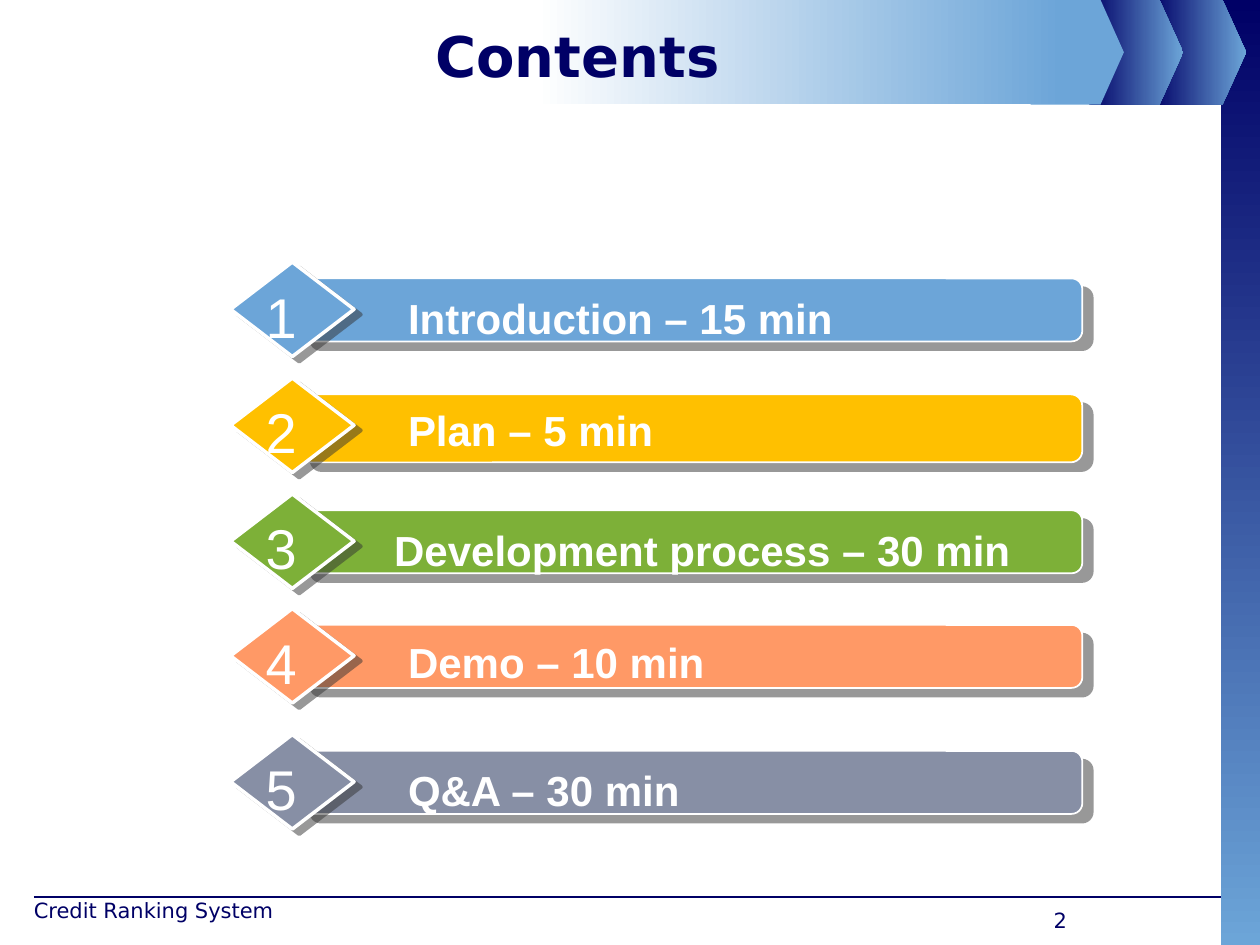
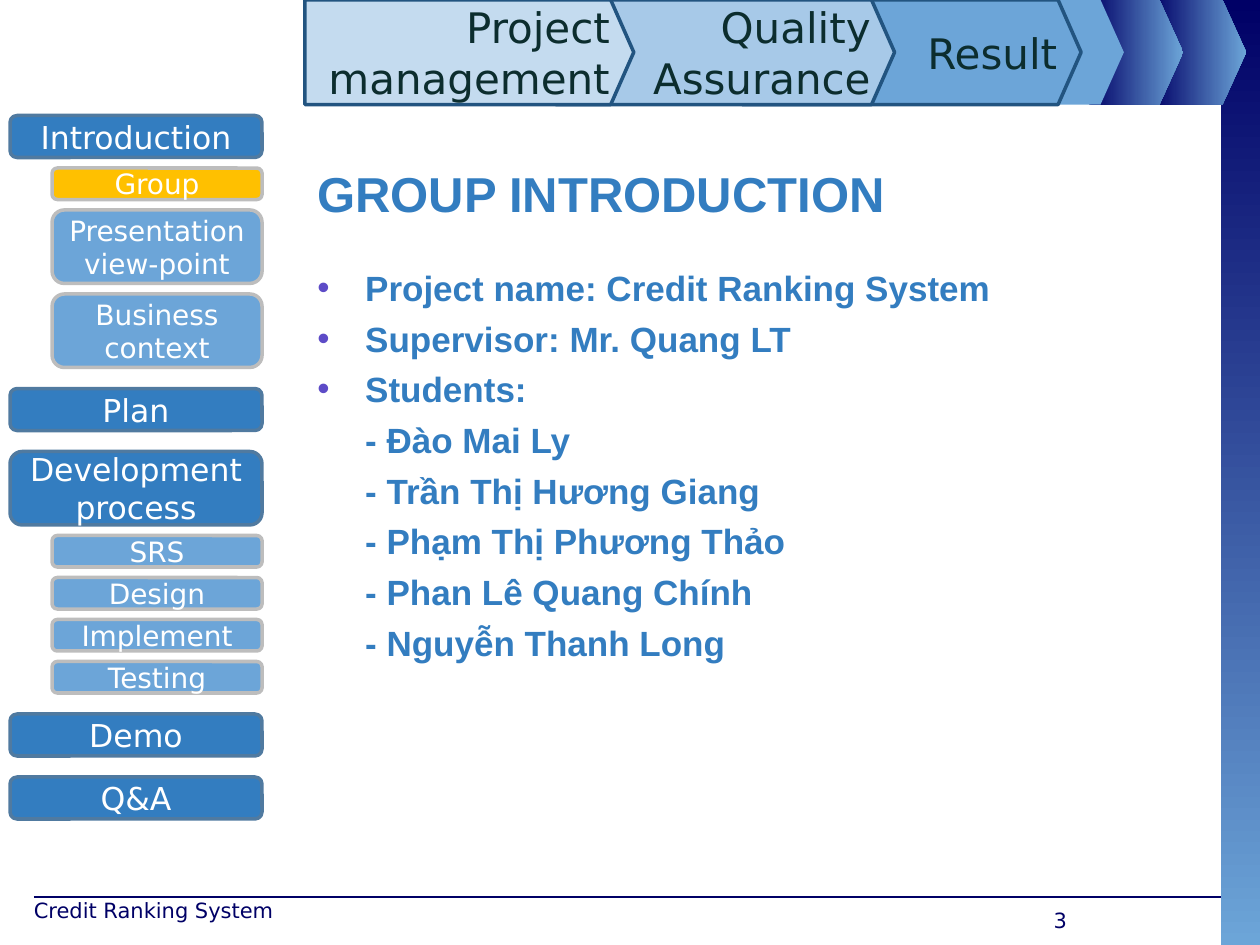
from lxml import etree
from pptx import Presentation
from pptx.dml.color import RGBColor
from pptx.enum.shapes import MSO_CONNECTOR, MSO_SHAPE
from pptx.enum.text import MSO_ANCHOR, PP_ALIGN
from pptx.oxml.ns import qn
from pptx.util import Inches, Pt

NAVY, SKY, BLUE = "000066", "6CA5D8", "337DC0"
WHITE, GOLD = "FFFFFF", "FFC000"
SANS, ARIAL = "DejaVu Sans", "Arial"
UNIT = 1 / 12  # sidebar grid, inches


def color(text):
    return RGBColor.from_string(text)


def child(parent, tag, **attrs):
    return etree.SubElement(parent, qn(tag), **attrs)


def style(par, size, font, ink, bold=False, align=PP_ALIGN.LEFT):
    par.font.size = Pt(size)
    par.font.name = font
    par.font.color.rgb = color(ink)
    par.font.bold = bold
    par.alignment = align


def write(shape, text, *look, anchor=MSO_ANCHOR.TOP, **more):
    """Put one styled paragraph into a shape."""
    frame = shape.text_frame
    frame.word_wrap = True
    frame.vertical_anchor = anchor
    frame.text = text
    style(frame.paragraphs[0], *look, **more)


def label(slide, box, text, *look, **more):
    shape = slide.shapes.add_textbox(*map(Inches, box))
    write(shape, text, *look, **more)
    return shape


def block(slide, kind, box, fill, line=None, width=1, adj=None):
    """Add a preset shape; a pair of colours as fill makes a gradient."""
    shape = slide.shapes.add_shape(kind, *map(Inches, box))
    shape.shadow.inherit = False
    if isinstance(fill, tuple):
        shape.fill.gradient()
        for stop, tone in zip(shape.fill.gradient_stops, fill):
            stop.color.rgb = color(tone)
        shape.fill.gradient_angle = 0
    else:
        shape.fill.solid()
        shape.fill.fore_color.rgb = color(fill)
    if line:
        shape.line.color.rgb = color(line)
        shape.line.width = Pt(width)
    else:
        shape.line.fill.background()
    if adj:
        shape.adjustments[0] = adj
    return shape


def shade(shape, dist, angle):
    """Cast a hard grey shadow."""
    effects = shape._element.spPr.find(qn("a:effectLst"))
    outer = child(effects, "a:outerShdw", blurRad="0", dist=str(Pt(dist)),
                  dir=str(angle * 60000), algn="ctr", rotWithShape="0")
    tone = child(outer, "a:srgbClr", val="333333")
    child(tone, "a:alpha", val="50000")


def frame(slide, number):
    """Draw the header band, side strip and footer of every slide."""
    rule = slide.shapes.add_connector(
        MSO_CONNECTOR.STRAIGHT, *map(Inches, (0.27, 7.12, 9.69, 7.12)))
    rule.line.color.rgb = color(NAVY)
    rule.line.width = Pt(0.75)
    child(rule._element.spPr, "a:effectLst")

    strip = block(slide, MSO_SHAPE.RECTANGLE, (9.69, 0, 0.31, 7.5), (NAVY, SKY))
    strip.fill.gradient_angle = 270
    for left, width, fill in ((9.14, 0.75, (NAVY, SKY)),
                              (8.64, 0.75, (NAVY, SKY)),
                              (8.18, 0.74, SKY)):
        block(slide, MSO_SHAPE.PENTAGON, (left, 0, width, 0.83), fill, adj=0.25)
    block(slide, MSO_SHAPE.RECTANGLE, (4.25, 0, 4.18, 0.83), (WHITE, SKY))

    label(slide, (0.17, 7.07, 2.33, 0.35), "Credit Ranking System", 12, SANS, NAVY)
    label(slide, (7.25, 7.15, 2.33, 0.26), str(number), 12, SANS, NAVY,
          align=PP_ALIGN.CENTER)


def entry(slide, left, top, number, text, fill, tall=0.5, inset=1.31, drop=0.06):
    """Draw one numbered bar; left and top are those of its diamond."""
    bar = block(slide, MSO_SHAPE.ROUNDED_RECTANGLE,
                (left + 0.55, top + 0.13, 6.21, tall), fill, WHITE, 1, 0.17)
    shade(bar, 7.8, 40)
    gem = block(slide, MSO_SHAPE.DIAMOND, (left, top, 0.98, 0.75), fill, WHITE, 2)
    shade(gem, 5, 37)
    label(slide, (left + inset, top + 0.13 + drop, 5.23, 0.51),
          text, 24, ARIAL, WHITE, True)
    label(slide, (left + 0.18, top + 0.11, 0.59, 0.64), str(number),
          32, ARIAL, WHITE)


def contents(slide):
    label(slide, (0.5, 0.13, 8.17, 0.62), "Contents", 32, SANS, NAVY, True,
          align=PP_ALIGN.CENTER, anchor=MSO_ANCHOR.MIDDLE)
    left = 1.83
    entry(slide, left, 2.08, 1, "Introduction – 15 min", SKY)
    entry(slide, left, 3, 2, "Plan – 5 min", GOLD, tall=0.54, drop=0.03)
    entry(slide, left, 3.92, 3, "Development process – 30 min", "7DB038", inset=1.2)
    entry(slide, left, 4.83, 4, "Demo – 10 min", "FF9966", drop=0.04)
    entry(slide, left, 5.83, 5, "Q&A – 30 min", "878FA5")


def sidebar(slide, left, top, active):
    """Stack the menu: main items are wide, sub-items are indented."""
    menu = (
        ("Introduction", ("Group", "Presentation view-point", "Business context")),
        ("Plan", ()),
        ("Development process", ("SRS", "Design", "Implement", "Testing")),
        ("Demo", ()),
        ("Q&A", ()),
    )
    for main, subs in menu:
        for name in (main, *subs):
            sub = name != main
            rows = 7 if " " in name else 3 if sub else 4
            shift = 4 * UNIT if sub else 0
            fill = GOLD if name == active else SKY if sub else BLUE
            item = block(slide, MSO_SHAPE.ROUNDED_RECTANGLE,
                         (left + shift, top, 2 - shift, rows * UNIT),
                         fill, "BDBDBD" if sub else "507AA0", 2)
            write(item, name, 16 if sub else 18, SANS, WHITE,
                  align=PP_ALIGN.CENTER, anchor=MSO_ANCHOR.MIDDLE)
            top += (rows + 1) * UNIT
        top += UNIT


def steps(slide):
    """Overlap the header arrows, the leftmost in front."""
    for left, width, text, fill in ((5.89, 2.69, "Result", SKY),
                                    (4.41, 2.69, "Quality Assurance", "A7C9E8"),
                                    (2.42, 2.61, "Project management", "C4DBEF")):
        arrow = block(slide, MSO_SHAPE.PENTAGON, (left, 0, width, 0.83), fill,
                      "225480", 2, 0.22)
        write(arrow, text, 24, SANS, "0C2D2E", align=PP_ALIGN.RIGHT,
              anchor=MSO_ANCHOR.MIDDLE)


def indent(par, bullet):
    """Hang the paragraph, with a bullet or flush with bulleted text."""
    props = par._p.get_or_add_pPr()
    props.set("marL", str(Inches(0.38)))
    props.set("indent", str(Inches(-0.38) if bullet else 0))
    if bullet:
        child(child(props, "a:buClr"), "a:srgbClr", val="5D4BC7")
        child(props, "a:buFont", typeface=ARIAL)
        child(props, "a:buChar", char="•")


def add_line(body, text, gap, bullet):
    par = body.text_frame.add_paragraph()
    par.text = text
    par.space_before = Pt(gap)
    indent(par, bullet)
    style(par, 20, ARIAL, BLUE, True)


def group(slide):
    body = label(slide, (2.42, 1.25, 7.17, 4), "GROUP INTRODUCTION",
                 28, ARIAL, BLUE, True)
    body.text_frame.paragraphs[0].space_before = Pt(3)
    facts = ("Project name: Credit Ranking System",
             "Supervisor: Mr. Quang LT", "Students:")
    team = ("Đào Mai Ly", "Trần Thị Hương Giang", "Phạm Thị Phương Thảo",
            "Phan Lê Quang Chính", "Nguyễn Thanh Long")
    for i, fact in enumerate(facts):
        add_line(body, fact, 5 if i else 25, True)
    for name in team:
        add_line(body, f"- {name}", 5, False)
    sidebar(slide, 0.08, 11 * UNIT, "Group")
    steps(slide)


def main():
    deck = Presentation()
    deck.slide_width, deck.slide_height = Inches(10), Inches(7.5)
    for number, fill in enumerate((contents, group), 2):
        slide = deck.slides.add_slide(deck.slide_layouts[6])
        frame(slide, number)
        fill(slide)
    deck.save("out.pptx")


if __name__ == "__main__":
    main()
